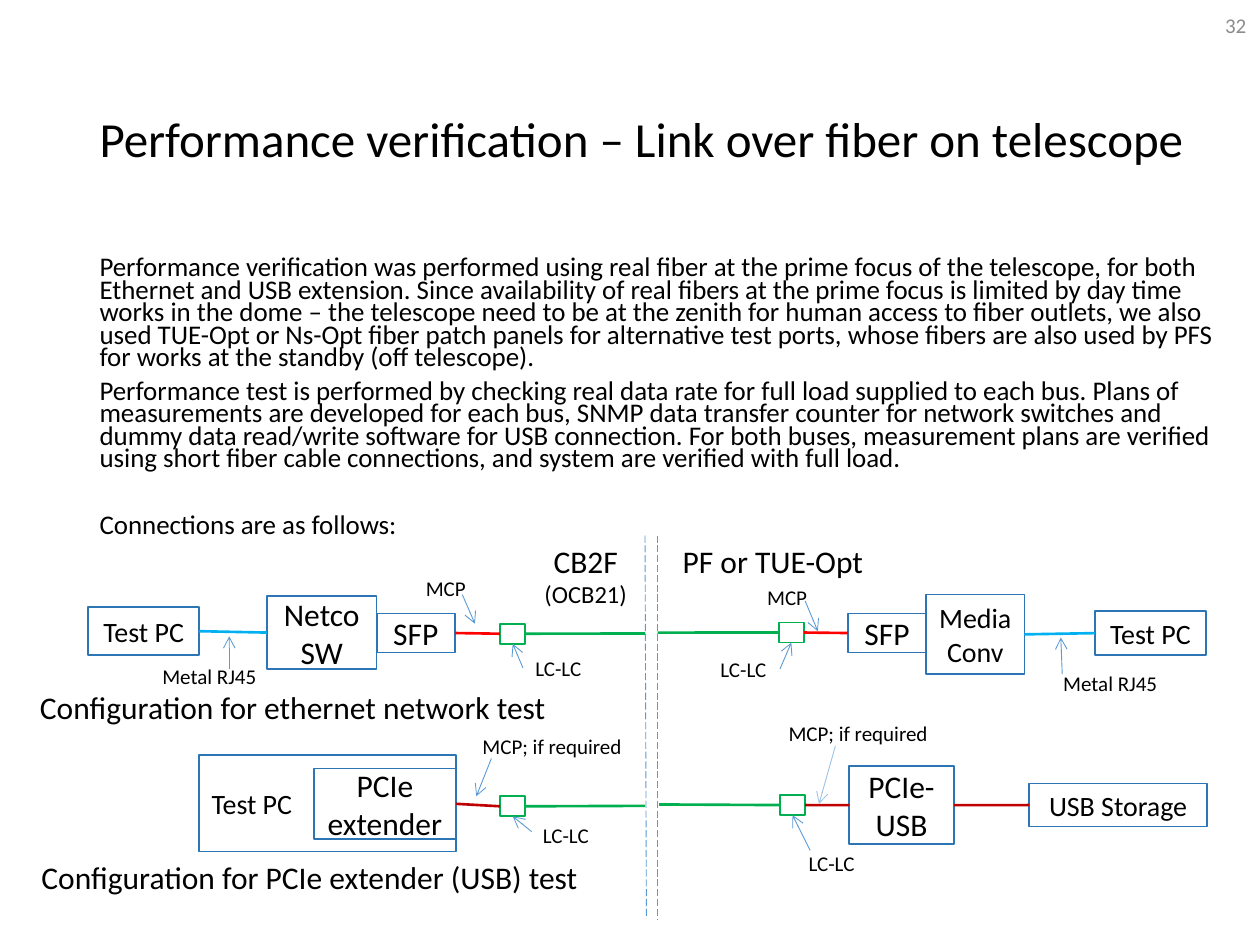
import dataclasses

import pptx
import pptx.dml.color
import pptx.enum.dml
import pptx.enum.shapes
import pptx.enum.text
import pptx.oxml
import pptx.oxml.ns
import pptx.util

Pt = pptx.util.Pt
ALIGN = pptx.enum.text.PP_ALIGN
ANCHOR = pptx.enum.text.MSO_ANCHOR
AUTOSIZE = pptx.enum.text.MSO_AUTO_SIZE
DRAWING = 'xmlns:a="http://schemas.openxmlformats.org/drawingml/2006/main"'
TOP, LEFT, BOTTOM, RIGHT = range(4)


@dataclasses.dataclass(frozen=True)
class Theme:
    font: str = "Calibri"
    ink: str = "000000"
    muted: str = "8C8C8C"
    frame: str = "2E75B6"
    pointer: str = "5B9BD5"
    pale_pointer: str = "9DC3E6"
    fiber: str = "00B050"
    patch: str = "FF0000"
    bus: str = "C00000"
    copper: str = "00B0F0"
    title: float = 28
    body: float = 15.4
    large: float = 18
    medium: float = 16
    minor: float = 14
    small: float = 12


THEME = Theme()

BODY = [
    ("Performance verification was performed using real fiber at the prime focus of the "
     "telescope, for both Ethernet and USB extension. Since availability of real fibers at "
     "the prime focus is limited by day time works in the dome – the telescope need to be "
     "at the zenith for human access to fiber outlets, we also used TUE-Opt or Ns-Opt fiber "
     "patch panels for alternative test ports, whose fibers are also used by PFS for works "
     "at the standby (off telescope).", 6),
    ("Performance test is performed by checking real data rate for full load supplied to "
     "each bus. Plans of measurements are developed for each bus, SNMP data transfer counter "
     "for network switches and dummy data read/write software for USB connection. For both "
     "buses, measurement plans are verified using short fiber cable connections, and system "
     "are verified with full load.", 6),
    ("Connections are as follows:", 25),
]


def rgb(value):
    return pptx.dml.color.RGBColor.from_string(value)


def add_span(para, text, size, color=THEME.ink):
    span = para.add_run()
    span.text = text
    span.font.name = THEME.font
    span.font.size = Pt(size)
    span.font.color.rgb = rgb(color)


def place(shape, left, top, width, height):
    shape.left, shape.top = Pt(left), Pt(top)
    shape.width, shape.height = Pt(width), Pt(height)


def fill_title(page, text):
    box = page.shapes.title
    place(box, 49.7, 28.8, 670.3, 104.4)
    frame = box.text_frame
    frame.auto_size = AUTOSIZE.NONE
    frame.vertical_anchor = ANCHOR.MIDDLE
    para = frame.paragraphs[0]
    para.alignment = ALIGN.LEFT
    para.line_spacing = 0.9
    add_span(para, text, THEME.title)


def fill_body(page, paragraphs):
    box = page.placeholders[1]
    place(box, 49.7, 144, 652.3, 168.5)
    frame = box.text_frame
    frame.auto_size = AUTOSIZE.NONE
    for index, (text, space) in enumerate(paragraphs):
        para = frame.add_paragraph() if index else frame.paragraphs[0]
        para.line_spacing = 0.7
        para.space_before = Pt(space)
        properties = para._p.get_or_add_pPr()
        properties.set("marL", "0")
        properties.set("indent", "0")
        properties.append(pptx.oxml.parse_xml(f"<a:buNone {DRAWING}/>"))
        add_span(para, text, THEME.body)


def add_label(page, left, top, width, height, *lines, align=ALIGN.LEFT):
    """Unwrapped text; each line is (text, size)."""
    box = page.shapes.add_textbox(Pt(left), Pt(top), Pt(width), Pt(height))
    frame = box.text_frame
    frame.word_wrap = False
    frame.auto_size = AUTOSIZE.SHAPE_TO_FIT_TEXT
    for index, (text, size) in enumerate(lines):
        para = frame.add_paragraph() if index else frame.paragraphs[0]
        para.alignment = align
        add_span(para, text, size)


def add_page_number(page, text):
    box = page.shapes.add_textbox(Pt(557.3), Pt(0), Pt(162), Pt(28.8))
    box.text_frame.word_wrap = True
    box.text_frame.vertical_anchor = ANCHOR.MIDDLE
    para = box.text_frame.paragraphs[0]
    para.alignment = ALIGN.RIGHT
    add_span(para, text, THEME.small, THEME.muted)


def add_box(page, left, top, width, height, text="", size=THEME.large,
            color=THEME.frame, align=ALIGN.CENTER):
    box = page.shapes.add_shape(pptx.enum.shapes.MSO_SHAPE.RECTANGLE,
                                Pt(left), Pt(top), Pt(width), Pt(height))
    box.shadow.inherit = False
    box.fill.background()
    box.line.color.rgb = rgb(color)
    box.line.width = Pt(1)
    if text:
        box.text_frame.word_wrap = True
        box.text_frame.vertical_anchor = ANCHOR.MIDDLE
        para = box.text_frame.paragraphs[0]
        para.alignment = align
        add_span(para, text, size)
    return box


def add_coupler(page, left, top):
    return add_box(page, left, top, 14.4, 11.5, color=THEME.fiber)


def add_line(page, start, end, color, width=1.5):
    """Each end is a point (x, y) or a joint (box, side)."""
    joints = [isinstance(first, (int, float)) is False for first, _ in (start, end)]
    begin_x, begin_y = (0, 0) if joints[0] else start
    end_x, end_y = (0, 0) if joints[1] else end
    line = page.shapes.add_connector(pptx.enum.shapes.MSO_CONNECTOR.STRAIGHT,
                                     Pt(begin_x), Pt(begin_y), Pt(end_x), Pt(end_y))
    if joints[0]:
        line.begin_connect(*start)
    if joints[1]:
        line.end_connect(*end)
    line.line.color.rgb = rgb(color)
    line.line.width = Pt(width)
    line._element.spPr.append(pptx.oxml.parse_xml(f"<a:effectLst {DRAWING}/>"))
    return line


def add_pointer(page, start, end, color=THEME.pointer):
    line = add_line(page, start, end, color, 0.5)
    outline = line._element.spPr.find(pptx.oxml.ns.qn("a:ln"))
    outline.append(pptx.oxml.parse_xml(f'<a:tailEnd {DRAWING} type="arrow"/>'))


def add_small_labels(page, labels):
    for text, left, top, width in labels:
        add_label(page, left, top, width, 21.6, (text, THEME.small))


def draw_boundary(page):
    for top_x, bottom_x in ((368.6, 369.4), (375.8, 375.8)):
        line = add_line(page, (top_x, 306), (bottom_x, 525), THEME.pointer, 0.5)
        line.line.dash_style = pptx.enum.dml.MSO_LINE.LONG_DASH
    add_label(page, 303.8, 306, 61.9, 46.1, ("CB2F", THEME.large),
              ("(OCB21)", THEME.minor), align=ALIGN.CENTER)
    add_label(page, 383, 306, 118.8, 28.8, ("PF or TUE-Opt", THEME.large))


def draw_ethernet_test(page):
    near_pc = add_box(page, 50.4, 347, 63.4, 27.4, "Test PC", THEME.medium)
    switch = add_box(page, 152.6, 340.6, 62.6, 41.8, "Netco SW")
    near_sfp = add_box(page, 215.3, 350.6, 44.6, 22.3, "SFP")
    near_coupler = add_coupler(page, 285.8, 356.4)
    far_coupler = add_coupler(page, 445, 355.7)
    far_sfp = add_box(page, 484.6, 350.6, 44.6, 22.3, "SFP")
    converter = add_box(page, 529.2, 339.8, 56.2, 45.4, "Media Conv", THEME.medium)
    far_pc = add_box(page, 625.7, 349.2, 63.4, 25.2, "Test PC", THEME.medium)

    # Cables, from left to right
    add_line(page, (near_pc, RIGHT), (switch, LEFT), THEME.copper)
    add_line(page, (near_sfp, RIGHT), (near_coupler, LEFT), THEME.patch)
    add_line(page, (near_coupler, RIGHT), (368.6, 362), THEME.fiber)
    add_line(page, (375.8, 361.5), (far_coupler, LEFT), THEME.fiber)
    add_line(page, (far_coupler, RIGHT), (far_sfp, LEFT), THEME.patch)
    add_line(page, (converter, RIGHT), (far_pc, LEFT), THEME.copper)

    # Callouts
    add_pointer(page, (131, 382.3), (131, 363.6))
    add_pointer(page, (264.2, 339.8), (271.4, 356.4))
    add_pointer(page, (298.8, 381.6), (near_coupler, BOTTOM))
    add_pointer(page, (445.7, 382.3), (far_coupler, BOTTOM))
    add_pointer(page, (460.1, 343.4), (467.3, 360.7))
    add_pointer(page, (607, 385.2), (606.2, 364.3))
    add_small_labels(page, [
        ("Metal RJ45", 85.7, 375.8, 69.1), ("MCP", 236.2, 325.4, 37.4),
        ("LC-LC", 298.8, 370.8, 41), ("LC-LC", 404.6, 371.5, 41),
        ("MCP", 431.3, 330.5, 37.4), ("Metal RJ45", 600.5, 379.4, 69.1),
    ])
    add_label(page, 15.8, 389.5, 306.7, 28.8,
              ("Configuration for ethernet network test", THEME.large))


def draw_usb_test(page):
    extender = add_box(page, 179.3, 439.2, 81.4, 40.3, "PCIe extender")
    add_box(page, 113.8, 431.3, 146.9, 55.4, "Test PC", THEME.medium, align=ALIGN.LEFT)
    near_coupler = add_coupler(page, 285.8, 455)
    far_coupler = add_coupler(page, 445.7, 454.3)
    adapter = add_box(page, 485.3, 437.8, 59.8, 44.6, "PCIe-USB")
    storage = add_box(page, 588.2, 447.8, 101.5, 24.5, "USB Storage", THEME.medium)

    # Cables, from left to right
    add_line(page, (extender, RIGHT), (near_coupler, LEFT), THEME.bus)
    add_line(page, (near_coupler, RIGHT), (368.6, 460.5), THEME.fiber)
    add_line(page, (376.6, 459.7), (far_coupler, LEFT), THEME.fiber)
    add_line(page, (far_coupler, RIGHT), (adapter, LEFT), THEME.bus)
    add_line(page, (adapter, RIGHT), (storage, LEFT), THEME.bus)

    # Callouts
    add_pointer(page, (280.8, 433.4), (272.2, 455))
    add_pointer(page, (303.8, 475.2), (near_coupler, BOTTOM))
    add_pointer(page, (463, 486), (far_coupler, BOTTOM))
    add_pointer(page, (477.4, 426.2), (468, 459.4), THEME.pale_pointer)
    add_small_labels(page, [
        ("MCP; if required", 268.6, 415.4, 95), ("LC-LC", 303.1, 466.6, 41),
        ("LC-LC", 455, 482.4, 41), ("MCP; if required", 443.5, 408.2, 95),
    ])
    add_label(page, 16.6, 486.7, 324.7, 28.8,
              ("Configuration for PCIe extender (USB) test", THEME.large))


def main():
    deck = pptx.Presentation()
    deck.slide_width, deck.slide_height = Pt(720), Pt(540)
    page = deck.slides.add_slide(deck.slide_layouts[1])
    fill_title(page, "Performance verification – Link over fiber on telescope")
    fill_body(page, BODY)
    draw_boundary(page)
    draw_ethernet_test(page)
    draw_usb_test(page)
    add_page_number(page, "32")
    deck.save("out.pptx")


if __name__ == "__main__":
    main()
